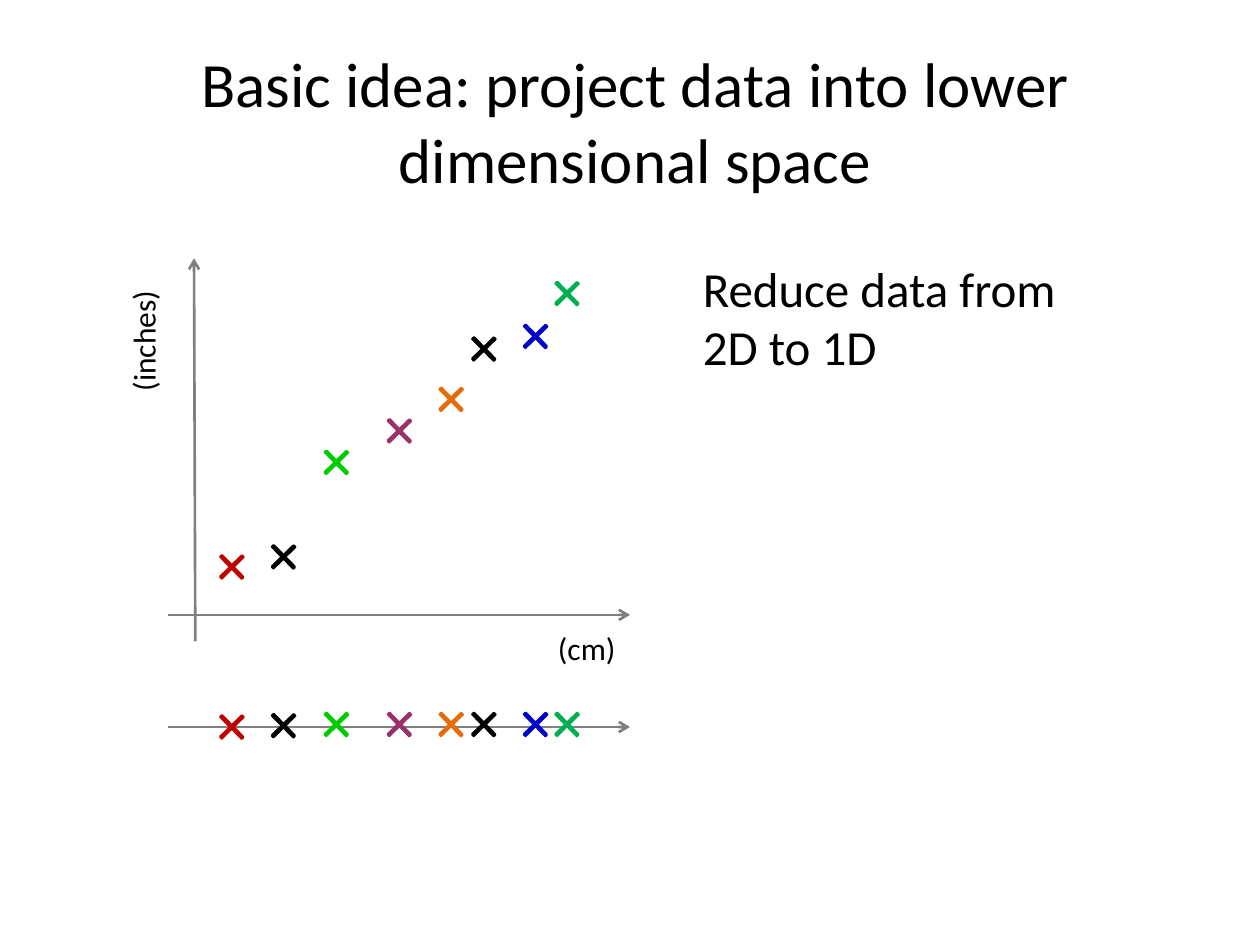
from dataclasses import dataclass

from lxml.etree import SubElement as Sub
from pptx import Presentation
from pptx.dml.color import RGBColor as RGB
from pptx.enum.shapes import MSO_CONNECTOR as Conn, MSO_SHAPE as Shape
from pptx.enum.text import MSO_ANCHOR as Anchor, PP_ALIGN as Align
from pptx.oxml.ns import qn
from pptx.util import Inches, Pt


@dataclass(frozen=True)
class Theme:
    font: str = "Calibri"
    ink: str = "000000"
    axis: str = "808080"
    red: str = "C00000"
    lime: str = "00CC00"
    plum: str = "993366"
    orange: str = "E46C0A"
    blue: str = "0000CC"
    green: str = "00B050"
    title: int = 36
    body: int = 28
    label: int = 18
    line: float = 1.5


class Deck:
    def __init__(self, theme):
        self.theme = theme
        self.prs = Presentation()
        self.prs.slide_width = Inches(10)
        self.prs.slide_height = Inches(7.5)
        self.slide = self.prs.slides.add_slide(self.prs.slide_layouts[5])

    def fill(self, frame, lines, size, align):
        frame.word_wrap = True
        frame.text = "\n".join(lines)
        for para in frame.paragraphs:
            para.alignment = align
            para.font.name = self.theme.font
            para.font.size = Pt(size)
            para.font.color.rgb = RGB.from_string(self.theme.ink)

    def title(self, text, left, top, width, height):
        box = self.slide.shapes.title
        box.left, box.top = Inches(left), Inches(top)
        box.width, box.height = Inches(width), Inches(height)
        box.text_frame.vertical_anchor = Anchor.MIDDLE
        self.fill(box.text_frame, [text], self.theme.title, Align.CENTER)

    def text(self, lines, left, top, width, height, size, turn=0):
        box = self.slide.shapes.add_textbox(
            Inches(left), Inches(top), Inches(width), Inches(height))
        box.rotation = turn
        self.fill(box.text_frame, lines, size, Align.LEFT)

    def arrow(self, x1, y1, x2, y2):
        line = self.slide.shapes.add_connector(
            Conn.STRAIGHT, Inches(x1), Inches(y1), Inches(x2), Inches(y2))
        line.line.color.rgb = RGB.from_string(self.theme.axis)
        line.line.width = Pt(self.theme.line)
        props = line._element.spPr
        Sub(props.find(qn("a:ln")), qn("a:tailEnd"), type="arrow")
        Sub(props, qn("a:effectLst"))

    def cross(self, left, top, color):
        side = Inches(0.24)
        mark = self.slide.shapes.add_shape(
            Shape.CROSS, Inches(left), Inches(top), side, side)
        mark.adjustments[0] = 0.466
        mark.rotation = 45.6
        mark.shadow.inherit = False
        mark.fill.solid()
        mark.fill.fore_color.rgb = RGB.from_string(color)
        mark.line.color.rgb = RGB.from_string(color)
        mark.line.width = Pt(self.theme.line)


def main():
    look = Theme()
    deck = Deck(look)
    points = [
        (1.72, 4.38, 5.65, look.red),
        (2.13, 4.3, 5.64, look.ink),
        (2.55, 3.55, 5.63, look.lime),
        (3.05, 3.3, 5.63, look.plum),
        (3.46, 3.05, 5.63, look.orange),
        (3.72, 2.65, 5.63, look.ink),
        (4.13, 2.55, 5.63, look.blue),
        (4.38, 2.21, 5.63, look.green),
    ]

    deck.title("Basic idea: project data into lower dimensional space",
               0.5, 0.3, 9.08, 1.31)
    deck.arrow(1.55, 5.09, 1.54, 2.05)
    deck.arrow(1.33, 4.88, 5, 4.88)
    for left, top, flat, color in points:
        deck.cross(left, top, color)
    deck.arrow(1.33, 5.77, 5, 5.77)
    for left, top, flat, color in points:
        deck.cross(left, flat, color)

    deck.text(["Reduce data from", "2D to 1D"], 5.48, 2, 4.1, 1.04, look.body)
    deck.text(["(inches)"], 0.56, 2.43, 1.15, 0.4, look.label, 270)
    deck.text(["(cm)"], 4.33, 4.94, 1.15, 0.4, look.label)
    deck.prs.save("out.pptx")


if __name__ == "__main__":
    main()
